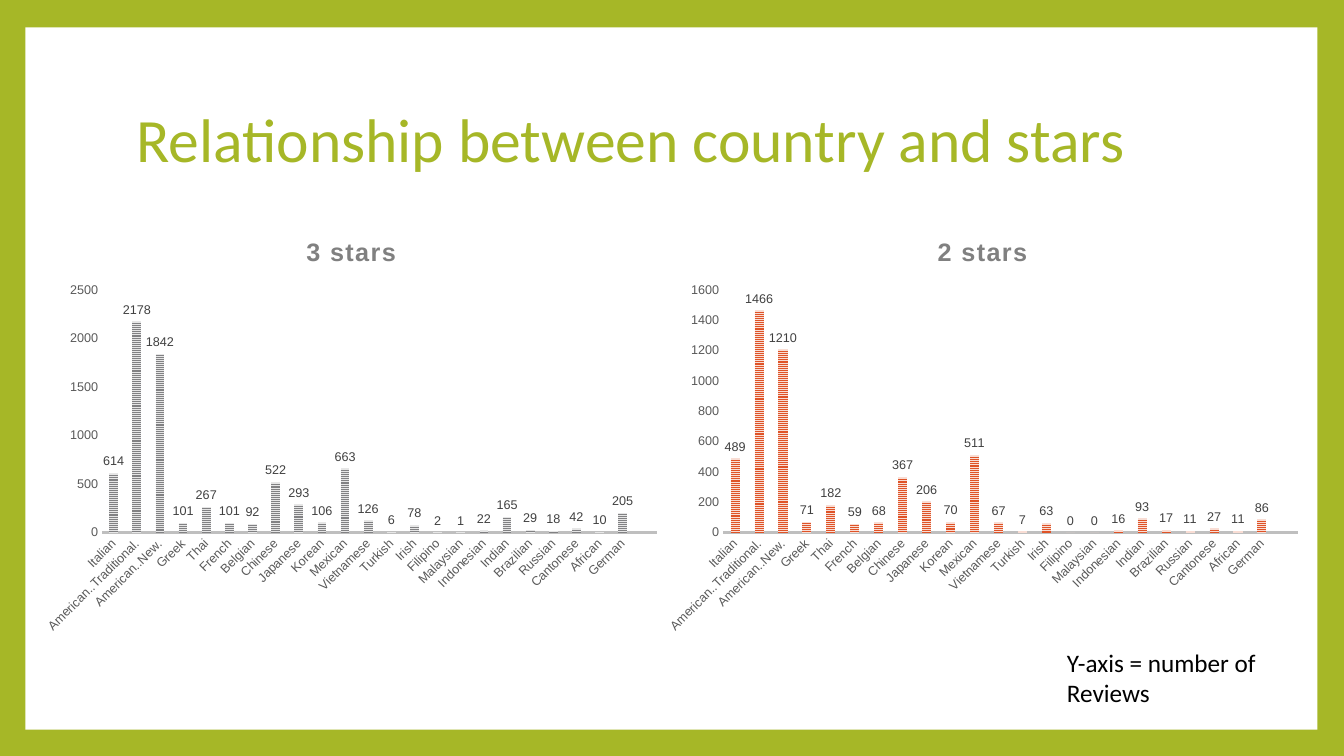
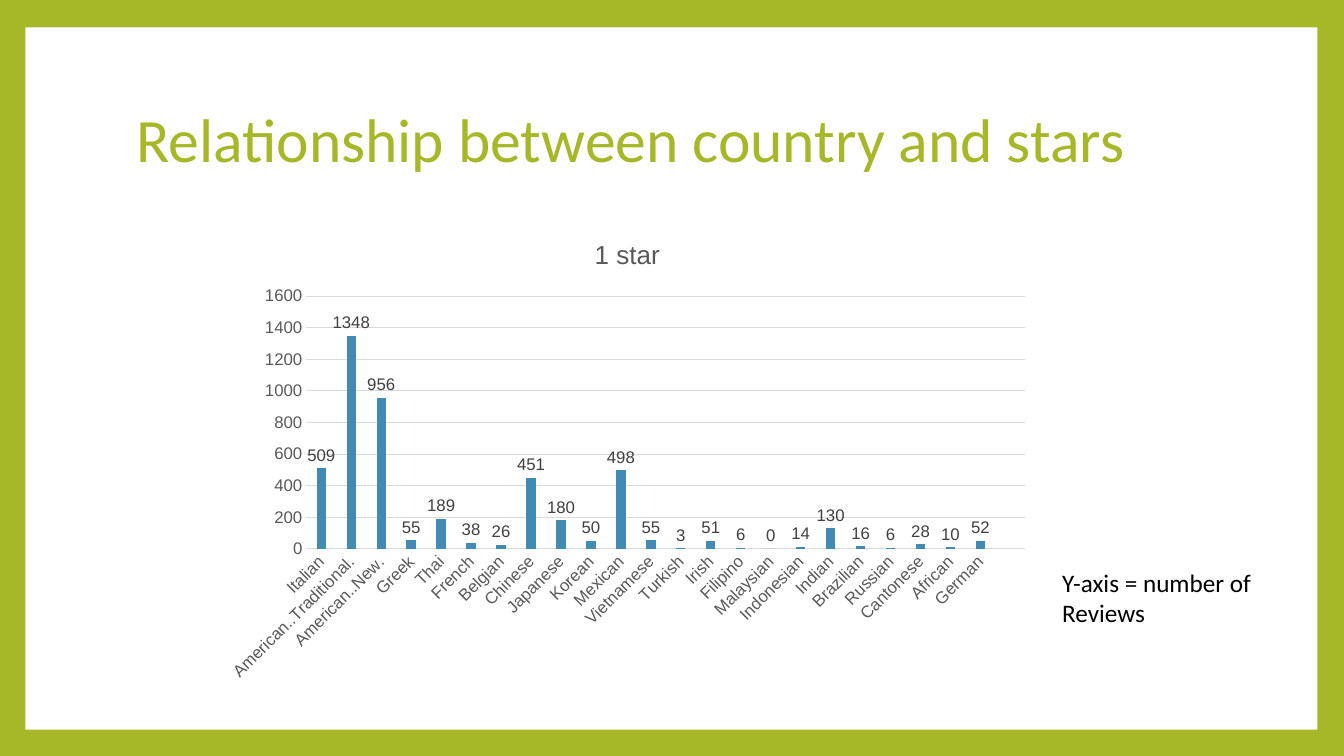
import pptx
import pptx.chart.data
import pptx.dml.color
import pptx.enum.chart
import pptx.enum.dml
import pptx.enum.text
import pptx.util
from pptx.util import Cm

GREEN, WHITE, BLACK = "A6B727", "FFFFFF", "000000"
AXIS_TEXT, LABEL_TEXT = "595959", "404040"

# The last, unnamed category leaves a gap at the right of each chart
COUNTRIES = [
    "Italian", "American..Traditional.", "American..New.", "Greek", "Thai", "French",
    "Belgian", "Chinese", "Japanese", "Korean", "Mexican", "Vietnamese", "Turkish",
    "Irish", "Filipino", "Malaysian", "Indonesian", "Indian", "Brazilian", "Russian",
    "Cantonese", "African", "German", "",
]

# Chart styles: striped bars without gridlines, and plain bars with gridlines
STRIPED = {
    "gap": 164, "overlap": -22, "text_size": 9, "grid": None,
    "axis_color": "BFBFBF", "axis_width": 1.5,
    "title": {"size": 18, "bold": True, "color": "808080", "spacing": "100"},
}
PLAIN = {
    "gap": 219, "overlap": -27, "text_size": 12, "grid": "D9D9D9",
    "axis_color": "D9D9D9", "axis_width": 0.75,
    "title": {"size": 18.6, "bold": False, "color": AXIS_TEXT, "spacing": "0"},
}

SLIDES = [
    {
        "note_at": (26.64, 16.18),
        "charts": [
            {"name": "3 stars", "at": (0.81, 5.46, 16.08, 10.72), "style": STRIPED,
             "colors": ("818183", "E6E6E6"), "top": 2500, "step": 500,
             "values": [614, 2178, 1842, 101, 267, 101, 92, 522, 293, 106, 663, 126,
                        6, 78, 2, 1, 22, 165, 29, 18, 42, 10, 205, None]},
            {"name": "2 stars", "at": (16.48, 5.46, 16.56, 10.72), "style": STRIPED,
             "colors": ("DF5327", "F9DDD4"), "top": 1600, "step": 200,
             "values": [489, 1466, 1210, 71, 182, 59, 68, 367, 206, 70, 511, 67,
                        7, 63, 0, 0, 16, 93, 17, 11, 27, 11, 86, None]},
        ],
    },
    {
        "note_at": (26.52, 14.17),
        "charts": [
            {"name": "1 star", "at": (5.36, 5.49, 20.9, 11.91), "style": PLAIN,
             "colors": ("418AB3",), "top": 1600, "step": 200,
             "values": [509, 1348, 956, 55, 189, 38, 26, 451, 180, 50, 498, 55,
                        3, 51, 6, 0, 14, 130, 16, 6, 28, 10, 52, None]},
        ],
    },
]


def rgb(color):
    return pptx.dml.color.RGBColor.from_string(color)


def set_font(font, size, color, name="Arial", bold=False):
    formats = {"size": pptx.util.Pt(size), "name": name, "bold": bold}
    for attribute, value in formats.items():
        setattr(font, attribute, value)
    font.color.rgb = rgb(color)


presentation = pptx.Presentation()
presentation.slide_width, presentation.slide_height = Cm(33.87), Cm(19.05)
layout = presentation.slide_layouts[5]
slides = [presentation.slides.add_slide(layout) for _ in SLIDES]

# Shared frame: green background and a white panel on the layout
background = presentation.slide_master.background.fill
background.solid()
background.fore_color.rgb = rgb(GREEN)
panel = slides[0].shapes.add_shape(
    pptx.enum.shapes.MSO_SHAPE.RECTANGLE, Cm(0.64), Cm(0.69), Cm(32.56), Cm(17.7))
panel.shadow.inherit = False
panel.fill.solid()
panel.fill.fore_color.rgb = rgb(WHITE)
panel.line.fill.background()
layout.shapes.element.insert(2, panel.element)

for slide, content in zip(slides, SLIDES):
    # Title
    title = slide.shapes.title
    title.left, title.top, title.width, title.height = Cm(3.18), Cm(1.7), Cm(27.43), Cm(3.76)
    title.text_frame.text = "Relationship between country and stars"
    title.text_frame.auto_size = pptx.enum.text.MSO_AUTO_SIZE.NONE
    title.text_frame.vertical_anchor = pptx.enum.text.MSO_ANCHOR.MIDDLE
    paragraph = title.text_frame.paragraphs[0]
    paragraph.alignment = pptx.enum.text.PP_ALIGN.LEFT
    paragraph.line_spacing = 0.9
    set_font(paragraph.runs[0].font, 44, GREEN, "Calibri")

    # Charts
    for item in content["charts"]:
        style = item["style"]
        data = pptx.chart.data.CategoryChartData()
        data.categories = COUNTRIES
        data.add_series(item["name"], item["values"])
        chart = slide.shapes.add_chart(
            pptx.enum.chart.XL_CHART_TYPE.COLUMN_CLUSTERED,
            *[Cm(length) for length in item["at"]], data).chart
        set_font(chart.font, 10, BLACK)
        chart.has_legend = False

        # Chart title
        chart.has_title = True
        chart.chart_title.include_in_layout = False
        chart.chart_title.text_frame.text = item["name"]
        heading = style["title"]
        run = chart.chart_title.text_frame.paragraphs[0].runs[0]
        set_font(run.font, heading["size"], heading["color"], bold=heading["bold"])
        for properties in chart.element.xpath(".//c:title//a:r/a:rPr"):
            properties.set("spc", heading["spacing"])

        # Axes
        for axis in (chart.category_axis, chart.value_axis):
            axis.major_tick_mark = pptx.enum.chart.XL_TICK_MARK.NONE
            axis.minor_tick_mark = pptx.enum.chart.XL_TICK_MARK.NONE
            axis.has_major_gridlines = False
            set_font(axis.tick_labels.font, style["text_size"], AXIS_TEXT)
        axis_line = chart.category_axis.format.line
        axis_line.color.rgb = rgb(style["axis_color"])
        axis_line.width = pptx.util.Pt(style["axis_width"])
        for body in chart.element.xpath(".//c:catAx/c:txPr/a:bodyPr"):
            body.set("rot", "-2700000")
        value_axis = chart.value_axis
        value_axis.minimum_scale, value_axis.maximum_scale = 0, item["top"]
        value_axis.major_unit = item["step"]
        value_axis.format.line.fill.background()
        if style["grid"]:
            value_axis.has_major_gridlines = True
            grid_line = value_axis.major_gridlines.format.line
            grid_line.color.rgb = rgb(style["grid"])
            grid_line.width = pptx.util.Pt(0.75)

        # Bars and their labels
        plot = chart.plots[0]
        plot.gap_width, plot.overlap = style["gap"], style["overlap"]
        plot.vary_by_categories = False
        fill = plot.series[0].format.fill
        if len(item["colors"]) == 2:
            fill.patterned()
            fill.pattern = pptx.enum.dml.MSO_PATTERN.NARROW_HORIZONTAL
            fill.back_color.rgb = rgb(item["colors"][1])
        else:
            fill.solid()
        fill.fore_color.rgb = rgb(item["colors"][0])
        plot.has_data_labels = True
        plot.data_labels.show_value = True
        plot.data_labels.position = pptx.enum.chart.XL_LABEL_POSITION.OUTSIDE_END
        set_font(plot.data_labels.font, style["text_size"], LABEL_TEXT)

    # Note on the value axis
    left, top = content["note_at"]
    note = slide.shapes.add_textbox(Cm(left), Cm(top), Cm(6.43), Cm(1.8)).text_frame
    note.word_wrap = True
    note.auto_size = pptx.enum.text.MSO_AUTO_SIZE.SHAPE_TO_FIT_TEXT
    note.text = "Y-axis = number of Reviews"
    set_font(note.paragraphs[0].runs[0].font, 18, BLACK, "Calibri")

presentation.save("out.pptx")
